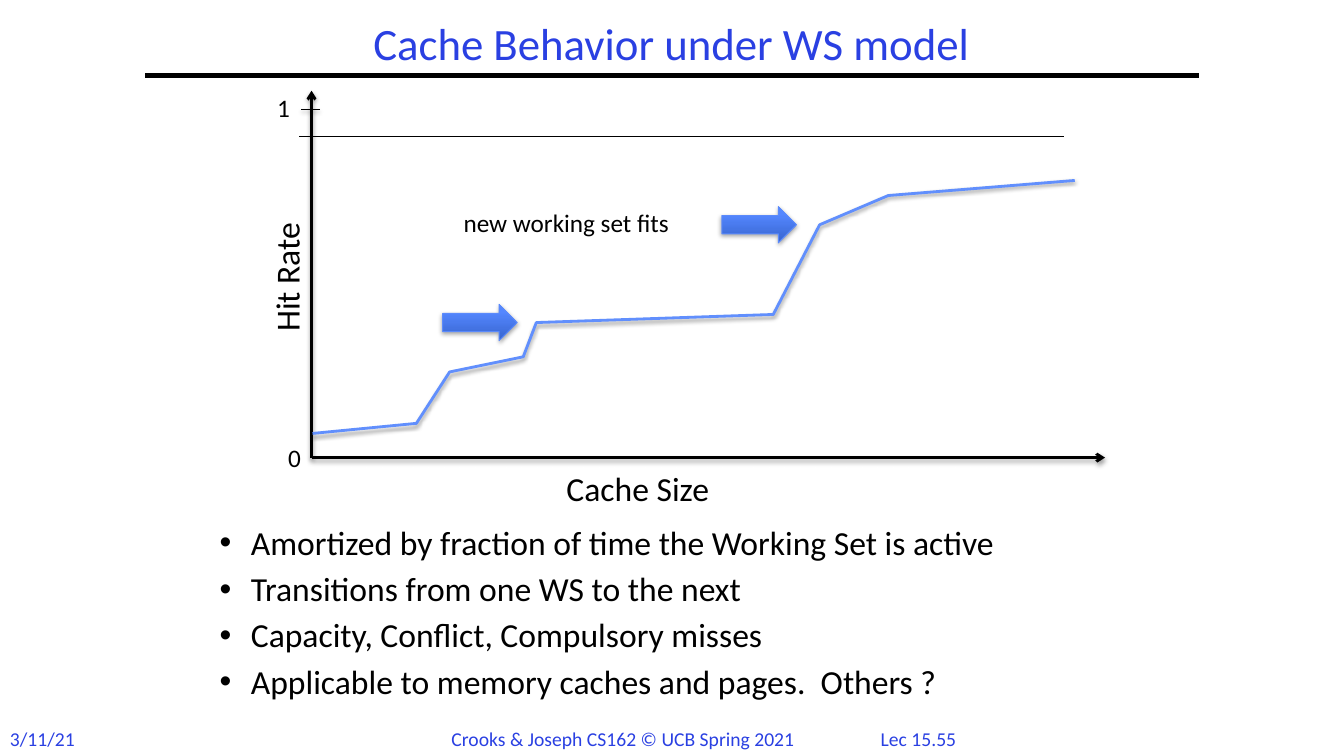
"""Build the slide on cache behaviour under the working set model."""
import pptx
import pptx.dml.color
import pptx.enum.shapes
import pptx.enum.text
import pptx.oxml.ns
import pptx.util
from lxml import etree

PX = 9144
BLUE = "2A40E2"
BLACK = "000000"
CURVE = [(310, 430), (413, 420), (446, 369), (519, 354), (532, 320),
         (767, 312), (813, 223), (881, 194), (1066, 179)]
POINTS = [
    "Amortized by fraction of time the Working Set is active",
    "Transitions from one WS to the next",
    "Capacity, Conflict, Compulsory misses",
    "Applicable to memory caches and pages.  Others ?",
]


def px(*nums):
    """Turn px into EMU."""
    return [pptx.util.Emu(num * PX) for num in nums]


def paint(color, code):
    """Set a colour from a hex string."""
    color.rgb = pptx.dml.color.RGBColor.from_string(code)


def add_tag(parent, name, **attrs):
    """Append a drawing element and return it."""
    return etree.SubElement(parent, pptx.oxml.ns.qn("a:" + name), attrs)


def add_glow(shape, alpha=None):
    """Give a shape a soft drop shadow, or none without an alpha."""
    effect = add_tag(shape.element.spPr, "effectLst")
    if alpha:
        cast = add_tag(effect, "outerShdw", blurRad="40000", dist="20000",
                       dir="5400000", rotWithShape="0")
        tone = add_tag(cast, "srgbClr", val=BLACK)
        add_tag(tone, "alpha", val=str(alpha * 1000))


def ink(shape, code, width):
    """Set the colour and width of an outline."""
    paint(shape.line.color, code)
    shape.line.width = pptx.util.Pt(width)


def add_line(slide, start, end, width, head=False, alpha=38):
    """Draw a straight black line, with an arrowhead if asked."""
    line = slide.shapes.add_connector(
        pptx.enum.shapes.MSO_CONNECTOR.STRAIGHT, *px(*start, *end))
    ink(line, BLACK, width)
    if head:
        add_tag(line.line._get_or_add_ln(), "tailEnd", type="arrow")
    add_glow(line, alpha)


def add_run(para, text, size, code):
    """Append one run of text."""
    run = para.add_run()
    run.text = text
    run.font.name = "Calibri"
    run.font.size = pptx.util.Pt(size)
    paint(run.font.color, code)


def add_text(slide, box, text, size, code=BLACK, wrap=False, mid=False):
    """Place one line of text and return its box."""
    label = slide.shapes.add_textbox(*px(*box))
    frame = label.text_frame
    frame.word_wrap = wrap
    frame.auto_size = pptx.enum.text.MSO_AUTO_SIZE.SHAPE_TO_FIT_TEXT
    para = frame.paragraphs[0]
    if mid:
        para.alignment = pptx.enum.text.PP_ALIGN.CENTER
    add_run(para, text, size, code)
    return label


def add_title(slide):
    """Place the title, centred over its rule."""
    frame = add_text(slide, (144, 17, 1044, 58), "Cache Behavior under WS model",
                     32, BLUE, True, True).text_frame
    frame.auto_size = pptx.enum.text.MSO_AUTO_SIZE.NONE
    frame.vertical_anchor = pptx.enum.text.MSO_ANCHOR.MIDDLE
    frame.paragraphs[0].line_spacing = 0.9
    add_line(slide, (144, 75), (1189, 75), 3, alpha=None)


def add_list(slide):
    """Place the bullet list."""
    frame = slide.shapes.add_textbox(*px(208, 517, 900, 166)).text_frame
    frame.word_wrap = True
    for index, text in enumerate(POINTS):
        para = frame.add_paragraph() if index else frame.paragraphs[0]
        para.line_spacing = 0.9
        if index:
            para.space_before = pptx.util.Pt(7.2)
        props = para._p.get_or_add_pPr()
        props.set("marL", str(31 * PX))
        props.set("indent", str(-31 * PX))
        add_tag(props, "buFont", typeface="Arial")
        add_tag(props, "buChar", char="•")
        add_run(para, text, 24, BLACK)


def add_curve(slide):
    """Draw the hit rate curve."""
    pen = slide.shapes.build_freeform(*CURVE[0], scale=PX)
    pen.add_line_segments(CURVE[1:], close=False)
    curve = pen.convert_to_shape()
    curve.fill.background()
    ink(curve, "618FFD", 2)
    add_glow(curve, 38)


def add_arrow(slide, left, top):
    """Draw a block arrow that points at a step in the curve."""
    arrow = slide.shapes.add_shape(
        pptx.enum.shapes.MSO_SHAPE.RIGHT_ARROW, *px(left, top, 74, 36))
    arrow.fill.gradient()
    arrow.fill.gradient_angle = 90
    tones = [(0, "3764CE"), (0.8, "5487FF")]
    for stop, (place, code) in zip(arrow.fill.gradient_stops, tones):
        stop.position = place
        paint(stop.color, code)
    ink(arrow, "5B8AFB", 0.75)
    add_glow(arrow, 35)


def add_graph(slide):
    """Draw the axes, curve, arrows and labels."""
    add_line(slide, (309, 454), (1096, 454), 2, head=True)
    add_line(slide, (309, 454), (309, 90), 2, head=True)
    add_text(slide, (213, 243, 142, 50), "Hit Rate", 24).rotation = 270
    add_text(slide, (552, 459, 193, 50), "Cache Size", 24)
    add_curve(slide)
    add_text(slide, (450, 201, 240, 40), "new working set fits", 18)
    add_arrow(slide, 716, 205)
    add_arrow(slide, 439, 302)
    add_line(slide, (1055, 135), (297, 135), 0.75)
    add_text(slide, (276, 434, 34, 40), "0", 18)
    add_text(slide, (265, 87, 34, 40), "1", 18)
    add_line(slide, (317, 109), (299, 109), 0.75)


def add_foot(slide):
    """Place the date, credit and page number."""
    add_text(slide, (850, 716, 122, 33), "Lec 15.55", 14, BLUE, True, True)
    add_text(slide, (0, 716, 100, 34), "3/11/21", 14, BLUE, True)
    add_text(slide, (438, 716, 376, 34),
             "Crooks & Joseph CS162 © UCB Spring 2021", 14, BLUE, True)


def main():
    """Build and save the slide."""
    deck = pptx.Presentation()
    deck.slide_width, deck.slide_height = px(1333, 750)
    slide = deck.slides.add_slide(deck.slide_layouts[6])
    add_foot(slide)
    add_title(slide)
    add_list(slide)
    add_graph(slide)
    deck.save("out.pptx")


if __name__ == "__main__":
    main()
